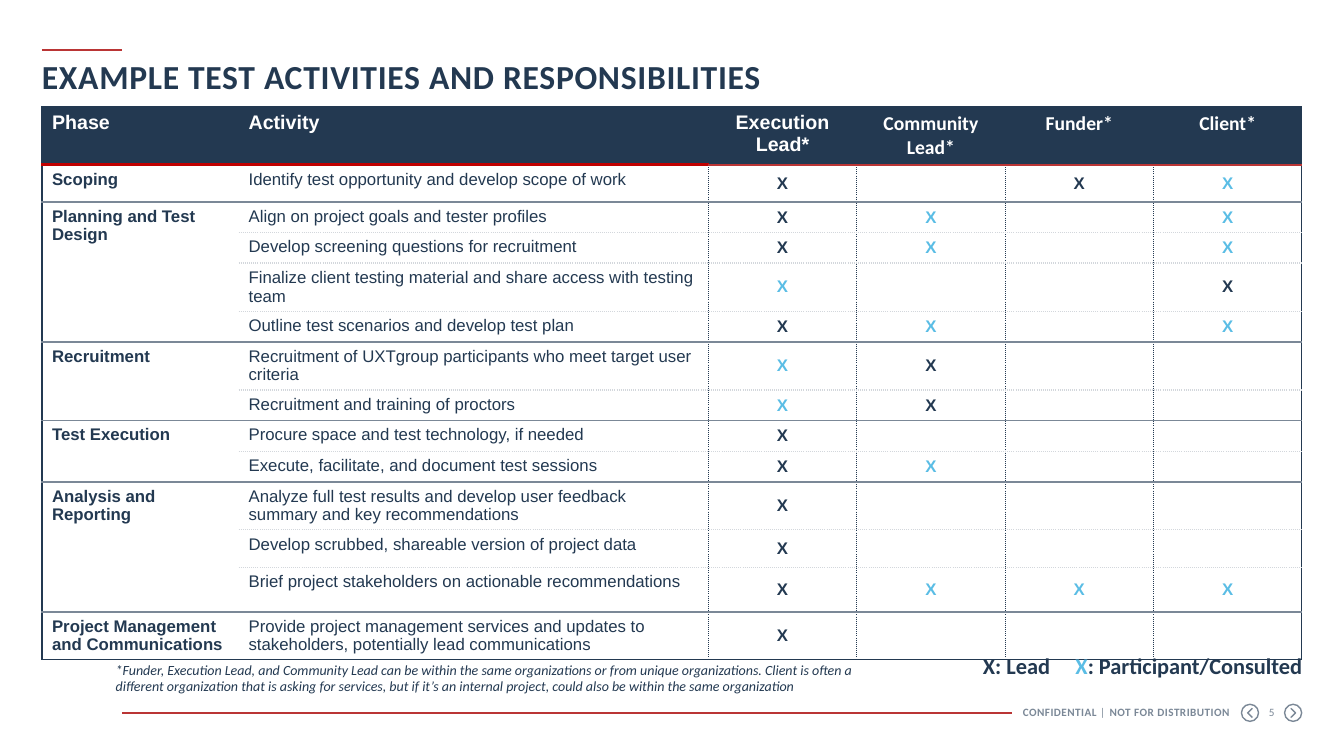
from lxml import etree
from pptx import Presentation
from pptx.dml.color import RGBColor
from pptx.enum.shapes import MSO_CONNECTOR, MSO_SHAPE
from pptx.enum.text import MSO_ANCHOR, PP_ALIGN
from pptx.oxml.ns import qn
from pptx.util import Pt

NAVY, GRAY, PALE, SKY, RED = "233951", "7B8897", "D3D7DC", "5ABDE5", "BA3535"
LEFT, CENTER, RIGHT = PP_ALIGN.LEFT, PP_ALIGN.CENTER, PP_ALIGN.RIGHT


def rgb(hex_color):
    return RGBColor.from_string(hex_color)


def add_run(paragraph, text, size, color, font="Calibri", bold=False, italic=False, spacing=0):
    run = paragraph.add_run()
    run.text = text
    run.font.size = Pt(size)
    run.font.name = font
    run.font.bold = bold
    run.font.italic = italic
    run.font.color.rgb = rgb(color)
    if spacing:
        run.font._element.set("spc", str(round(spacing * 100)))


prs = Presentation()
prs.slide_width, prs.slide_height = Pt(960), Pt(540)
slide = prs.slides.add_slide(prs.slide_layouts[6])
shapes = slide.shapes

# Red rules above the title and in the footer
for x1, x2, y in [(30, 87.3, 35.8), (87.3, 723, 509.2)]:
    rule = shapes.add_connector(MSO_CONNECTOR.STRAIGHT, Pt(x1), Pt(y), Pt(x2), Pt(y))
    rule.line.color.rgb = rgb(RED)
    rule.line.width = Pt(1.5)
    etree.SubElement(rule._element.spPr, qn("a:effectLst"))

# Previous and next buttons: a ring with an open arrow
for center_x, direction in [(892.9, -1), (923.7, 1)]:
    center_y = 509.2
    ring = shapes.add_shape(MSO_SHAPE.OVAL, Pt(center_x - 6.1), Pt(center_y - 6.1), Pt(12.2), Pt(12.2))
    ring.fill.background()
    tip = center_x + 1.7 * direction
    tail = center_x - 1.7 * direction
    builder = shapes.build_freeform(Pt(tail), Pt(center_y - 3.3))
    builder.add_line_segments([(Pt(tip), Pt(center_y)), (Pt(tail), Pt(center_y + 3.3))], close=False)
    arrow = builder.convert_to_shape()
    arrow.fill.background()
    for part in (ring, arrow):
        part.shadow.inherit = False
        part.line.color.rgb = rgb(GRAY)
        part.line.width = Pt(1)

# Activity table: L marks a lead, P a participant
header = ["Phase", "Activity", "Execution Lead*", "Community Lead*", "Funder*", "Client*"]
phases = [
    ("Scoping", [("Identify test opportunity and develop scope of work", "L-LP", 26.5)]),
    ("Planning and Test Design", [
        ("Align on project goals and tester profiles", "LP-P", 21.8),
        ("Develop screening questions for recruitment", "LP-P", 21.8),
        ("Finalize client testing material and share access with testing team", "P--L", 34.4),
        ("Outline test scenarios and develop test plan", "LP-P", 21.8)]),
    ("Recruitment", [
        ("Recruitment of UXTgroup participants who meet target user criteria", "PL--", 34.4),
        ("Recruitment and training of proctors", "PL--", 21.8)]),
    ("Test Execution", [
        ("Procure space and test technology, if needed", "L---", 21.8),
        ("Execute, facilitate, and document test sessions", "LP--", 21.8)]),
    ("Analysis and Reporting", [
        ("Analyze full test results and develop user feedback summary and key recommendations", "L---", 34.4),
        ("Develop scrubbed, shareable version of project data", "L---", 26.8),
        ("Brief project stakeholders on actionable recommendations", "LPPP", 31.7)]),
    ("Project Management and Communications", [
        ("Provide project management services and updates to stakeholders, potentially lead communications",
         "L---", 34.4)]),
]
mark_colors = {"L": NAVY, "P": SKY}
column_widths = [140.4, 335.6] + [106] * 4
row_count = 1 + sum(len(activities) for _, activities in phases)
table = shapes.add_table(row_count, 6, Pt(30), Pt(76.3), Pt(900), Pt(394)).table
table.first_row = table.horz_banding = False
table._tbl.tblPr.find(qn("a:tableStyleId")).text = "{2D5ABB26-0587-4C30-8999-92F81FD0307C}"
for column, width in zip(table.columns, column_widths):
    column.width = Pt(width)

# Header row
table.rows[0].height = Pt(41.4)
for col, label in enumerate(header):
    paragraph = table.cell(0, col).text_frame.paragraphs[0]
    paragraph.alignment = CENTER if col > 1 else LEFT
    add_run(paragraph, label, 14, "FFFFFF", "Calibri" if col > 2 else "Arial", bold=True)

# Phase rows
phase_starts = []
row = 1
for phase, activities in phases:
    phase_starts.append(row)
    add_run(table.cell(row, 0).text_frame.paragraphs[0], phase, 12, NAVY, "Arial", bold=True)
    if len(activities) > 1:
        table.cell(row, 0).merge(table.cell(row + len(activities) - 1, 0))
    for activity, marks, height in activities:
        table.rows[row].height = Pt(height)
        add_run(table.cell(row, 1).text_frame.paragraphs[0], activity, 12, NAVY, "Arial")
        for col, mark in enumerate(marks, start=2):
            cell = table.cell(row, col)
            cell.vertical_anchor = MSO_ANCHOR.MIDDLE
            paragraph = cell.text_frame.paragraphs[0]
            paragraph.alignment = CENTER
            if mark in mark_colors:
                add_run(paragraph, "X", 12, mark_colors[mark], "Arial", bold=True)
        row += 1

# Borders as (colour, width, dash), by column edge and by row edge
outer, dotted = (NAVY, 1, "solid"), (NAVY, 1, "sysDot")
column_edges = [outer, None, dotted, dotted, dotted, dotted, outer]
for row in range(row_count):
    for col in range(6):
        cell = table.cell(row, col)
        row_edges = []
        for edge in (row, row + 1):
            if edge in (0, row_count):
                row_edges.append(outer)
            elif edge == 1:
                row_edges.append(("C00000", 2.25, "solid") if col < 2 else (RED, 1.5, "solid"))
            elif edge in phase_starts:
                row_edges.append((GRAY, 1.5, "solid"))
            else:
                row_edges.append((PALE, 1, "sysDot") if col else None)
        if cell.is_merge_origin:
            row_edges[1] = (GRAY, 1.5, "solid")
        tc_pr = cell._tc.get_or_add_tcPr()
        sides = [column_edges[col], column_edges[col + 1]] + row_edges
        for tag, border in zip(("a:lnL", "a:lnR", "a:lnT", "a:lnB"), sides):
            if border is None:
                continue
            color, width, dash = border
            line = etree.SubElement(tc_pr, qn(tag), w=str(Pt(width)))
            fill = etree.SubElement(line, qn("a:solidFill"))
            etree.SubElement(fill, qn("a:srgbClr"), val=color)
            etree.SubElement(line, qn("a:prstDash"), val=dash)
        if row == 0:
            cell.fill.solid()
            cell.fill.fore_color.rgb = rgb(NAVY)
        else:
            cell.fill.background()
        # Keeps empty cells from stretching their row
        etree.SubElement(cell.text_frame.paragraphs[0]._p, qn("a:endParaRPr"), sz="1200")

# Title, legend, footnote and footer: box, inset, indent, alignment, runs
footer_style = dict(size=8, color=GRAY)
legend_style = dict(size=16, bold=True)
footnote = (
    "*Funder, Execution Lead, and Community Lead can be within the same organizations or from unique "
    "organizations. Client is often a different organization that is asking for services, but if it’s an "
    "internal project, could also be within the same organization")
texts = [
    ((30, 39.6, 900, 27.4), False, 0, LEFT, [
        ("EXAMPLE TEST ACTIVITIES AND RESPONSIBILITIES", dict(size=24, color=NAVY, bold=True, spacing=0.5))]),
    ((651.6, 462.2, 285.8, 26.6), True, 9.4, RIGHT, [
        ("X: Lead", dict(legend_style, color=NAVY)),
        (" ", dict(legend_style, color=NAVY, spacing=14.5)),
        ("X", dict(legend_style, color=SKY)),
        (": Participant/Consulted", dict(legend_style, color=NAVY))]),
    ((66.2, 468.7, 585.4, 31.7), True, 9.4, LEFT, [
        (footnote, dict(size=10, color=NAVY, italic=True))]),
    ((679.7, 504, 200.9, 9.4), False, 0, RIGHT, [
        ("CONFIDENTIAL ", dict(footer_style, bold=True, spacing=0.3)),
        ("|", dict(footer_style, spacing=3)),
        ("NOT FOR DISTRIBUTION ", dict(footer_style, bold=True, spacing=0.3))]),
    ((899.3, 504, 18, 9.4), False, 0, CENTER, [("5", dict(footer_style, spacing=0.3))]),
]
for box, inset, indent, alignment, runs in texts:
    frame = shapes.add_textbox(*(Pt(length) for length in box)).text_frame
    frame.word_wrap = True
    if not inset:
        frame.margin_left = frame.margin_right = frame.margin_top = frame.margin_bottom = 0
    paragraph = frame.paragraphs[0]
    paragraph.alignment = alignment
    if indent:
        paragraph._p.get_or_add_pPr().set("marL", str(Pt(indent)))
    for text, style in runs:
        add_run(paragraph, text, **style)

prs.save("out.pptx")
